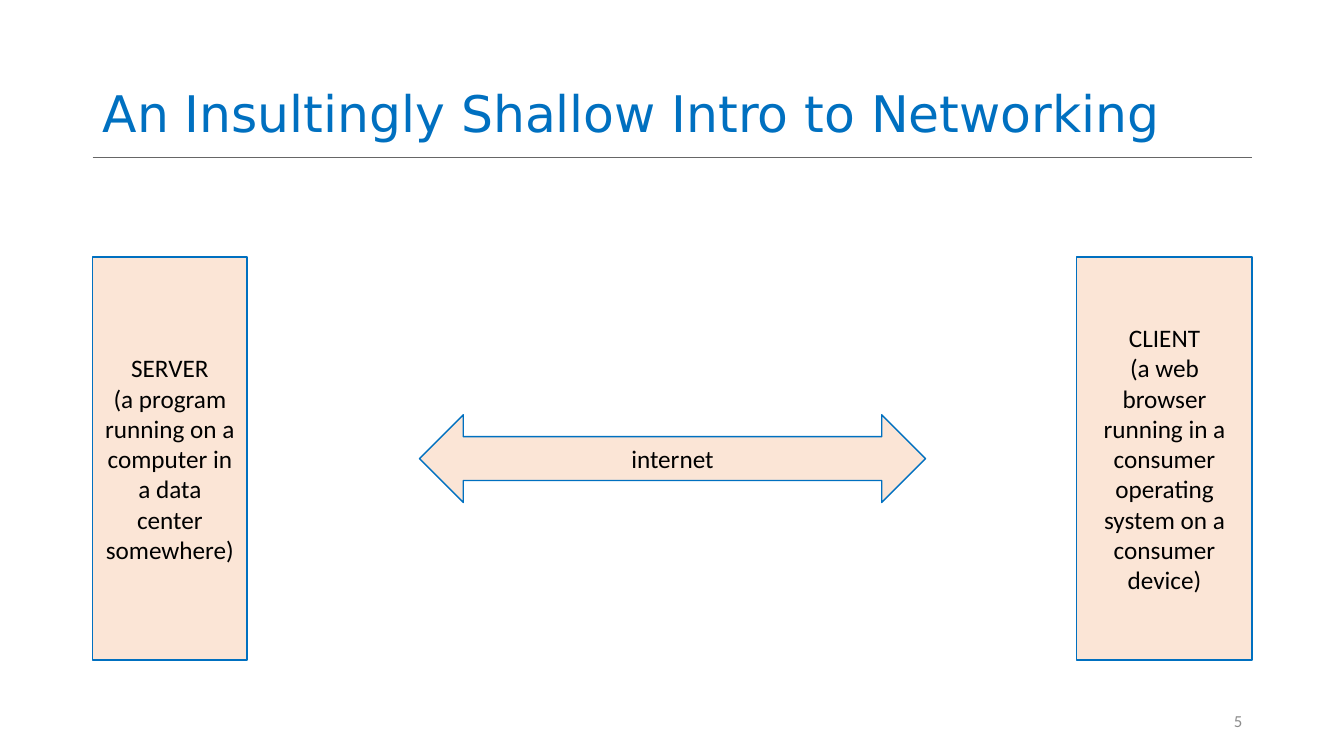
from pptx import Presentation, util as u
from pptx.dml.color import RGBColor
from pptx.enum import shapes, text
from lxml import etree

HUES = {"blue": "0070C0", "peach": "FBE5D6", "ink": "000000",
        "rule": "666666", "page": "8C8C8C"}
WIDE, HIGH = 13.33, 7.5
EDGE, SPAN = 0.92, 11.5
END = EDGE + SPAN
TOP, TALL = 2.55, 4
MID = TOP + TALL / 2


def hue(name):
    return RGBColor.from_string(HUES[name])


def write(shape, lines, size, font, color, align, anchor):
    """Fill a shape with one paragraph for each line."""
    frame = shape.text_frame
    frame.word_wrap = True
    frame.vertical_anchor = anchor
    frame.text = "\n".join(lines)
    for par in frame.paragraphs:
        par.alignment = align
        par.font.size = u.Pt(size)
        par.font.name = font
        par.font.color.rgb = hue(color)


deck = Presentation()
deck.slide_width, deck.slide_height = u.Inches(WIDE), u.Inches(HIGH)
slide = deck.slides.add_slide(deck.slide_layouts[6])
items = slide.shapes

# Rule under the title
rule = items.add_connector(shapes.MSO_CONNECTOR.STRAIGHT, u.Inches(EDGE),
                           u.Inches(1.56), u.Inches(END), u.Inches(1.56))
rule.line.color.rgb = hue("rule")
rule.line.width = u.Pt(0.5)
etree.SubElement(
    rule._element.spPr,
    "{http://schemas.openxmlformats.org/drawingml/2006/main}effectLst")

# Page number and title
page = items.add_textbox(u.Inches(END - 3), u.Inches(6.95),
                         u.Inches(3), u.Inches(0.4))
write(page, ["5"], 12, "Calibri", "page",
      text.PP_ALIGN.RIGHT, text.MSO_ANCHOR.MIDDLE)

title = items.add_textbox(u.Inches(EDGE), u.Inches(0.02),
                          u.Inches(SPAN), u.Inches(1.45))
write(title, ["An Insultingly Shallow Intro to Networking"], 36,
      "DejaVu Sans", "blue", text.PP_ALIGN.LEFT, text.MSO_ANCHOR.BOTTOM)
title.text_frame.paragraphs[0].line_spacing = 0.9

# Server and client, joined by the internet: kind, left, width, height, lines
kinds = shapes.MSO_SHAPE
parts = [
    (kinds.LEFT_RIGHT_ARROW, 4.16, 5.02, 0.87, ["internet"]),
    (kinds.RECTANGLE, END - 1.74, 1.74, TALL,
     ["CLIENT", "(a web browser running in a consumer operating system "
                "on a consumer device)"]),
    (kinds.RECTANGLE, EDGE, 1.53, TALL,
     ["SERVER", "(a program running on a computer in a data center "
                "somewhere)"]),
]
for kind, left, width, height, lines in parts:
    part = items.add_shape(kind, u.Inches(left), u.Inches(MID - height / 2),
                           u.Inches(width), u.Inches(height))
    part.shadow.inherit = False
    part.fill.solid()
    part.fill.fore_color.rgb = hue("peach")
    part.line.color.rgb = hue("blue")
    part.line.width = u.Pt(1)
    write(part, lines, 18, "Calibri", "ink",
          text.PP_ALIGN.CENTER, text.MSO_ANCHOR.MIDDLE)

deck.save("out.pptx")
